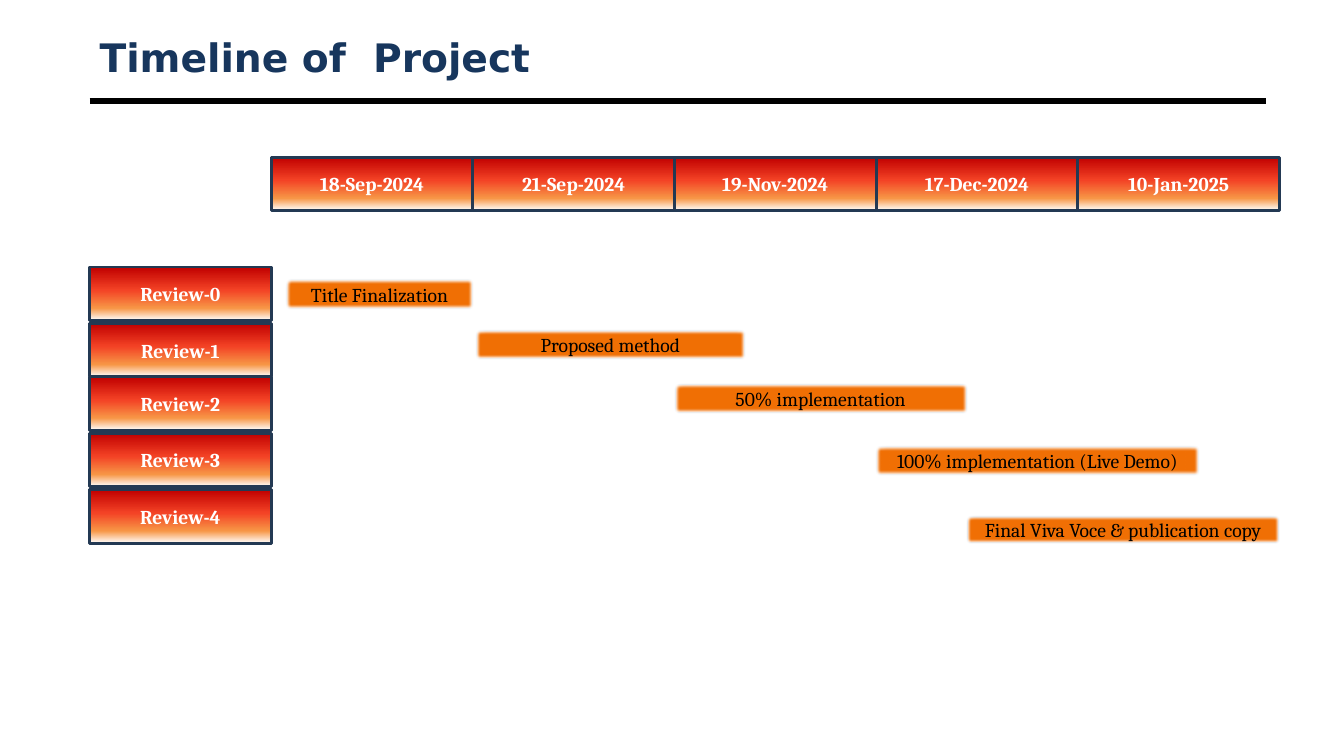
import copy
from dataclasses import dataclass
from typing import Any

import pptx
import pptx.dml.color
import pptx.enum.shapes
import pptx.enum.text
import pptx.oxml
import pptx.oxml.ns
import pptx.util

PX = 9144
LEFT = 89
DATES_LEFT, DATES_TOP = 269, 156
DATE_W, REVIEW_W, CELL_H = 200, 180, 53
NAVY, OUTLINE, ORANGE = "17365D", "233953", "F17005"
CELL_STOPS = ((0, "C00000"), (0.43, "F34225"), (0.77, "F79646"), (1, "FFFFFF"))
TITLE_FONT = {"name": "DejaVu Sans", "size": pptx.util.Pt(28), "bold": True}
CELL_FONT = {"name": "Cambria", "size": pptx.util.Pt(14), "bold": True}
BAR_FONT = {"name": "Cambria", "size": pptx.util.Pt(14), "bold": False}
MIDDLE = {
    "vertical_anchor": pptx.enum.text.MSO_ANCHOR.MIDDLE,
    "word_wrap": True,
}


@dataclass
class Box:
    text: str
    x: int
    y: int
    w: int
    h: int


DATES = [
    Box(text, DATES_LEFT + i * DATE_W, DATES_TOP, DATE_W, CELL_H)
    for i, text in enumerate(
        ["18-Sep-2024", "21-Sep-2024", "19-Nov-2024", "17-Dec-2024", "10-Jan-2025"]
    )
]
REVIEWS = [
    Box(f"Review-{i}", LEFT, y, REVIEW_W, CELL_H)
    for i, y in enumerate([265, 321, 374, 430, 486])
]
BARS = [
    Box("Title Finalization", 284, 277, 185, 30),
    Box("Proposed method", 472, 327, 267, 29),
    Box("50% implementation", 669, 381, 290, 29),
    Box("100% implementation (Live Demo)", 869, 442, 320, 29),
    Box("Final Viva Voce & publication copy", 959, 512, 310, 27),
]


def px(n: int) -> int:
    return pptx.util.Emu(n * PX)


def rgb(value: str) -> pptx.dml.color.RGBColor:
    return pptx.dml.color.RGBColor.from_string(value)


def set_all(target: Any, values: dict) -> None:
    for name, value in values.items():
        setattr(target, name, value)


def write(s: Any, text: str, font: dict, color: str, align: Any) -> None:
    tf = s.text_frame
    set_all(tf, MIDDLE)
    p = tf.paragraphs[0]
    p.alignment = align
    r = p.add_run()
    r.text = text
    set_all(r.font, font)
    r.font.color.rgb = rgb(color)


def add_box(shapes: Any, box: Box, font: dict, color: str) -> Any:
    s = shapes.add_shape(
        pptx.enum.shapes.MSO_SHAPE.RECTANGLE,
        px(box.x), px(box.y), px(box.w), px(box.h),
    )
    s.shadow.inherit = False
    s.line.color.rgb = rgb(OUTLINE)
    s.line.width = pptx.util.Pt(2)
    write(s, box.text, font, color, pptx.enum.text.PP_ALIGN.CENTER)
    return s


def add_cell(shapes: Any, box: Box) -> None:
    s = add_box(shapes, box, CELL_FONT, "FFFFFF")
    s.fill.gradient()
    s.fill.gradient_angle = 270
    stops = s.element.spPr.find(".//" + pptx.oxml.ns.qn("a:gsLst"))
    while len(stops) < len(CELL_STOPS):
        stops.append(copy.deepcopy(stops[0]))
    for stop, (position, color) in zip(s.fill.gradient_stops, CELL_STOPS):
        stop.position = position
        stop.color.rgb = rgb(color)


def add_bar(shapes: Any, box: Box) -> None:
    s = add_box(shapes, box, BAR_FONT, "000000")
    s.fill.solid()
    s.fill.fore_color.rgb = rgb(ORANGE)
    effects = s.element.spPr.find(pptx.oxml.ns.qn("a:effectLst"))
    effects.append(pptx.oxml.parse_xml(
        f'<a:softEdge {pptx.oxml.ns.nsdecls("a")} rad="31750"/>'
    ))


def add_heading(shapes: Any) -> None:
    rule = shapes.add_connector(
        pptx.enum.shapes.MSO_CONNECTOR.STRAIGHT,
        px(LEFT), px(100), px(1256), px(100),
    )
    rule.line.color.rgb = rgb("000000")
    rule.line.width = pptx.util.Pt(4.5)
    rule.element.spPr.append(pptx.oxml.parse_xml(
        f'<a:effectLst {pptx.oxml.ns.nsdecls("a")}/>'
    ))
    title = shapes.add_textbox(px(LEFT), px(30), px(1167), px(53))
    write(title, "Timeline of  Project", TITLE_FONT, NAVY,
          pptx.enum.text.PP_ALIGN.LEFT)


def main() -> None:
    prs = pptx.Presentation()
    set_all(prs, {"slide_width": px(1333), "slide_height": px(750)})
    shapes = prs.slides.add_slide(prs.slide_layouts[6]).shapes
    add_heading(shapes)
    reviews = shapes.add_group_shape().shapes
    for box in REVIEWS:
        add_cell(reviews, box)
    for box in BARS:
        add_bar(shapes, box)
    dates = shapes.add_group_shape().shapes
    for box in DATES:
        add_cell(dates, box)
    prs.save("out.pptx")


if __name__ == "__main__":
    main()
